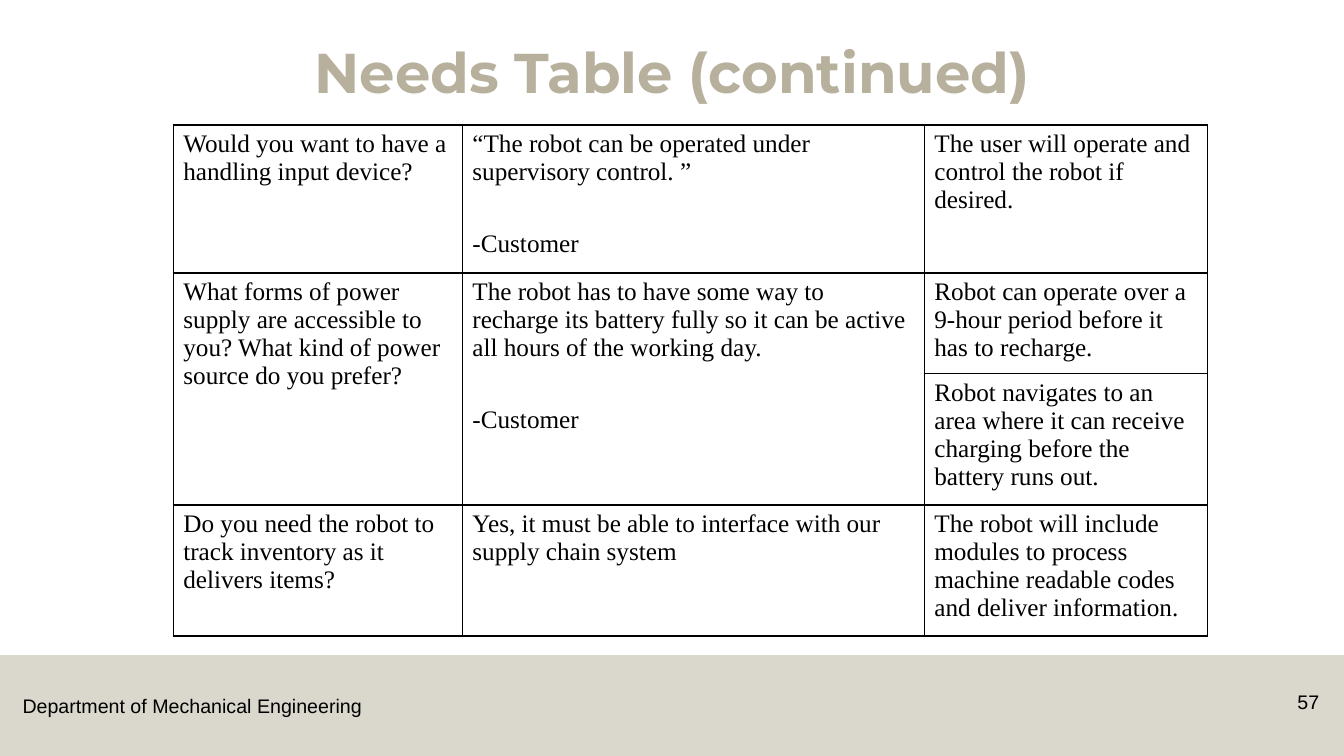
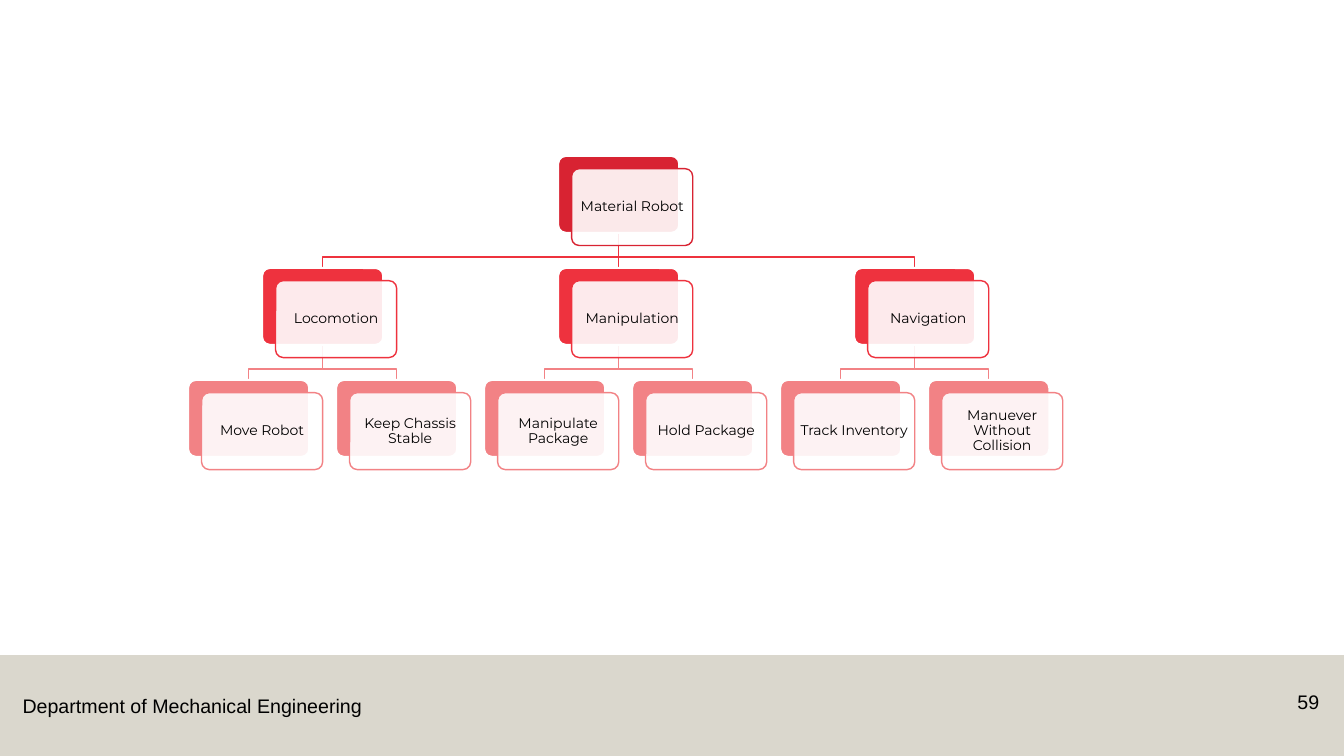
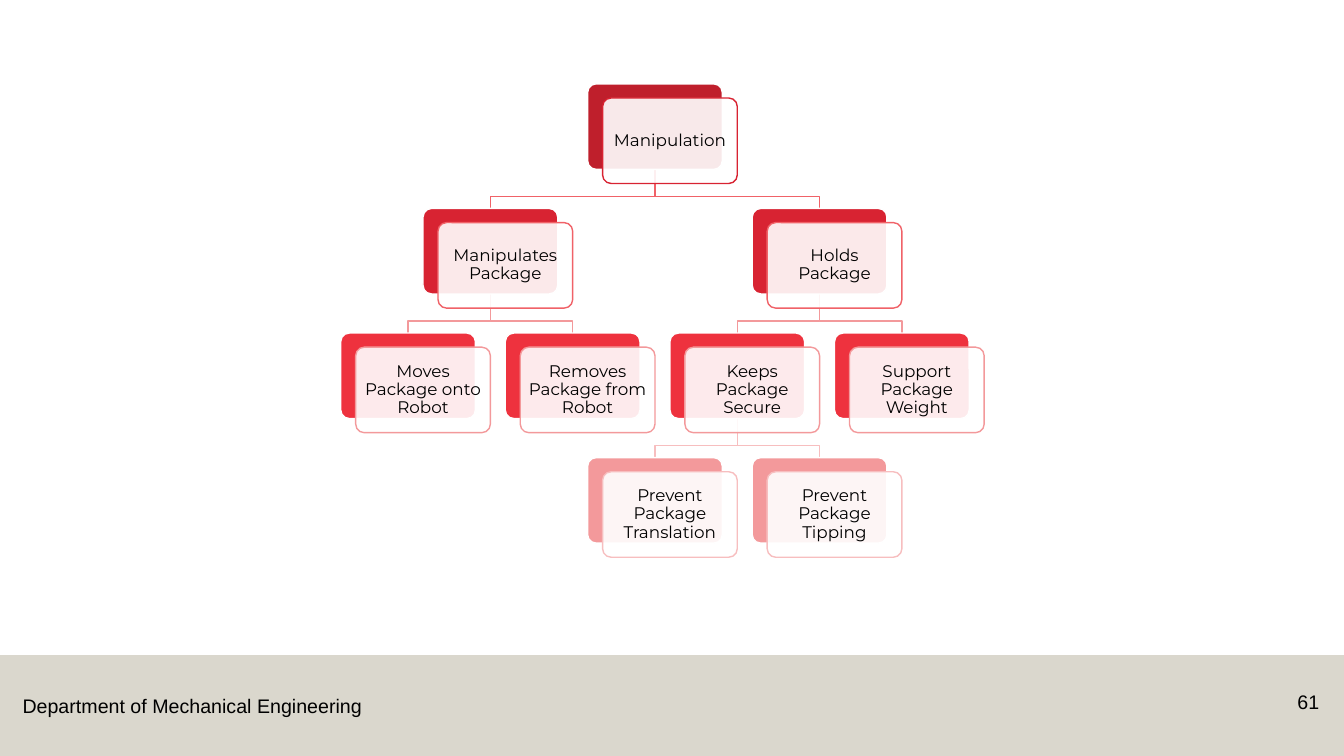
"""Build three robot design slides: a needs table and two function trees."""
from lxml import etree
from pptx import Presentation
from pptx.dml.color import RGBColor
from pptx.enum import shapes, text
from pptx.oxml import ns
from pptx.util import Pt

COLORS = {
    "sand": "B7B09C", "black": "000000", "white": "FFFFFF",
    "maroon": "BF1F2C", "crimson": "D82332", "red": "EE323E",
    "coral": "F06268", "salmon": "F28285", "pink": "F3999B", "blush": "F7BEBF",
}
LEFT, CENTER, RIGHT = text.PP_ALIGN.LEFT, text.PP_ALIGN.CENTER, text.PP_ALIGN.RIGHT
ROUNDED = shapes.MSO_SHAPE.ROUNDED_RECTANGLE


def paint(shape, fill, opacity=100, line=None, width=1):
    shape.shadow.inherit = False
    shape.fill.solid()
    shape.fill.fore_color.rgb = RGBColor.from_string(COLORS[fill])
    if opacity < 100:
        color = shape.fill._xPr.find(".//" + ns.qn("a:srgbClr"))
        etree.SubElement(color, ns.qn("a:alpha"), val=str(opacity * 1000))
    if line:
        shape.line.color.rgb = RGBColor.from_string(COLORS[line])
        shape.line.width = Pt(width)
    else:
        shape.line.fill.background()


def write(paragraph, words, size, font, align=LEFT, color="black", bold=False, spacing=1.0):
    paragraph.alignment = align
    paragraph.line_spacing = spacing
    run = paragraph.add_run()
    run.text = words
    run.font.size = Pt(size)
    run.font.name = font
    run.font.bold = bold
    run.font.color.rgb = RGBColor.from_string(COLORS[color])


presentation = Presentation()
presentation.slide_width = Pt(960)
presentation.slide_height = Pt(540)

slides = []
for number in ("57", "59", "61"):
    slide = presentation.slides.add_slide(presentation.slide_layouts[6])
    band = slide.shapes.add_shape(shapes.MSO_SHAPE.RECTANGLE, 0, Pt(468), Pt(960), Pt(72))
    paint(band, "sand", opacity=50)
    department = slide.shapes.add_textbox(Pt(9), Pt(492), Pt(258), Pt(24))
    department.text_frame.word_wrap = False
    write(department.text_frame.paragraphs[0], "Department of Mechanical Engineering", 14, "Arial")
    page = slide.shapes.add_textbox(Pt(894), Pt(489), Pt(55.5), Pt(29))
    page.text_frame.word_wrap = True
    write(page.text_frame.paragraphs[0], number, 14, "Arial", RIGHT)
    slides.append(slide)
needs_slide, robot_slide, manipulation_slide = slides

title = needs_slide.shapes.add_textbox(Pt(66), Pt(28.8), Pt(828), Pt(104))
title.text_frame.word_wrap = True
write(title.text_frame.paragraphs[0], "Needs Table (continued)", 40, "Montserrat",
      CENTER, "sand", True, 0.9)

needs = [
    [["Would you want to have a handling input device?"],
     ["“The robot can be operated under supervisory control. ”", "-Customer"],
     ["The user will operate and control the robot if desired."]],
    [["What forms of power supply are accessible to you? What kind of power source do you prefer?"],
     ["The robot has to have some way to recharge its battery fully so it can be active "
      "all hours of the working day.", "-Customer"],
     ["Robot can operate over a 9-hour period before it has to recharge."]],
    [[], [],
     ["Robot navigates to an area where it can receive charging before the battery runs out."]],
    [["Do you need the robot to track inventory as it delivers items?"],
     ["Yes, it must be able to interface with our supply chain system"],
     ["The robot will include modules to process machine readable codes and deliver information."]],
]
column_widths = [206.5, 330, 202]
row_heights = [105.7, 72.1, 93.6, 93.6]
table = needs_slide.shapes.add_table(len(needs), 3, Pt(123.8), Pt(89.3),
                                     Pt(sum(column_widths)), Pt(sum(row_heights))).table
table.first_row = False
table.horz_banding = False
for column, width in zip(table.columns, column_widths):
    column.width = Pt(width)
for row, height in zip(table.rows, row_heights):
    row.height = Pt(height)
for merged in (0, 1):
    table.cell(1, merged).merge(table.cell(2, merged))
for row_index, row in enumerate(needs):
    for column_index, lines in enumerate(row):
        cell = table.cell(row_index, column_index)
        cell.fill.background()
        properties = cell._tc.get_or_add_tcPr()
        for position, side in enumerate(("lnL", "lnR", "lnT", "lnB")):
            border = etree.Element(ns.qn("a:" + side), w=str(Pt(1)))
            solid = etree.SubElement(border, ns.qn("a:solidFill"))
            etree.SubElement(solid, ns.qn("a:srgbClr"), val=COLORS["black"])
            properties.insert(position, border)
        for index, line in enumerate(lines):
            paragraph = cell.text_frame.paragraphs[0]
            if index:
                paragraph = cell.text_frame.add_paragraph()
                paragraph.space_before = Pt(31.4)
            write(paragraph, line, 18, "Times New Roman")

trees = [
    {"slide": robot_slide, "left": 134.4, "top": 111.4, "width": 86.5, "size": 10, "edge": 1.5,
     "fills": ["crimson", "red", "salmon"],
     "lines": ["crimson", "red", "salmon"],
     "nodes": [
         ("Material Robot", 0, 2.5, None),
         ("Locomotion", 1, 0.5, 2.5),
         ("Manipulation", 1, 2.5, 2.5),
         ("Navigation", 1, 4.5, 2.5),
         ("Move Robot", 2, 0, 0.5),
         ("Keep Chassis Stable", 2, 1, 0.5),
         ("Manipulate Package", 2, 2, 2.5),
         ("Hold Package", 2, 3, 2.5),
         ("Track Inventory", 2, 4, 4.5),
         ("Manuever Without Collision", 2, 5, 4.5)]},
    {"slide": manipulation_slide, "left": 243.4, "top": 59.9, "width": 96.2, "size": 12, "edge": 1,
     "fills": ["maroon", "crimson", "red", "pink"],
     "lines": ["crimson", "coral", "pink", "blush"],
     "nodes": [
         ("Manipulation", 0, 1.5, None),
         ("Manipulates Package", 1, 0.5, 1.5),
         ("Holds Package", 1, 2.5, 1.5),
         ("Moves Package onto Robot", 2, 0, 0.5),
         ("Removes Package from Robot", 2, 1, 0.5),
         ("Keeps Package Secure", 2, 2, 2.5),
         ("Support Package Weight", 2, 3, 2.5),
         ("Prevent Package Translation", 3, 1.5, 2),
         ("Prevent Package Tipping", 3, 2.5, 2)]},
]
for tree in trees:
    canvas = tree["slide"].shapes
    width = tree["width"]
    height = width * 0.635
    column_pitch = width * 11 / 9
    level_pitch = width * 0.925
    shift_x, shift_y = width / 9, width * 0.105

    for label, level, column, parent in tree["nodes"]:
        if parent is None:
            continue
        child_x, parent_x = (Pt(tree["left"] + place * column_pitch + width / 2)
                             for place in (column, parent))
        child_y = tree["top"] + level * level_pitch
        start_y = child_y - level_pitch + height
        bend_y = start_y + width * 0.2
        if parent == column:
            link = canvas.add_connector(shapes.MSO_CONNECTOR.STRAIGHT,
                                        parent_x, Pt(start_y), child_x, Pt(child_y))
            etree.SubElement(link._element.spPr, ns.qn("a:effectLst"))
        else:
            outline = canvas.build_freeform(parent_x, Pt(start_y))
            outline.add_line_segments([(parent_x, Pt(bend_y)), (child_x, Pt(bend_y)),
                                       (child_x, Pt(child_y))], close=False)
            link = outline.convert_to_shape()
            link.shadow.inherit = False
            link.fill.background()
        link.line.color.rgb = RGBColor.from_string(COLORS[tree["lines"][level]])
        link.line.width = Pt(1)

    for label, level, column, parent in tree["nodes"]:
        x = tree["left"] + column * column_pitch
        y = tree["top"] + level * level_pitch
        back = canvas.add_shape(ROUNDED, Pt(x), Pt(y), Pt(width), Pt(height))
        paint(back, tree["fills"][level], line="white", width=tree["edge"])
        front = canvas.add_shape(ROUNDED, Pt(x + shift_x), Pt(y + shift_y), Pt(width), Pt(height))
        paint(front, "white", opacity=90, line=tree["lines"][level])
        for card in (back, front):
            card.adjustments[0] = 0.1
        frame = front.text_frame
        frame.word_wrap = True
        frame.vertical_anchor = text.MSO_ANCHOR.MIDDLE
        frame.margin_left = frame.margin_right = Pt(2.5)
        frame.margin_top = frame.margin_bottom = Pt(2.5)
        write(frame.paragraphs[0], label, tree["size"], "Montserrat", CENTER, spacing=0.9)

presentation.save("out.pptx")
